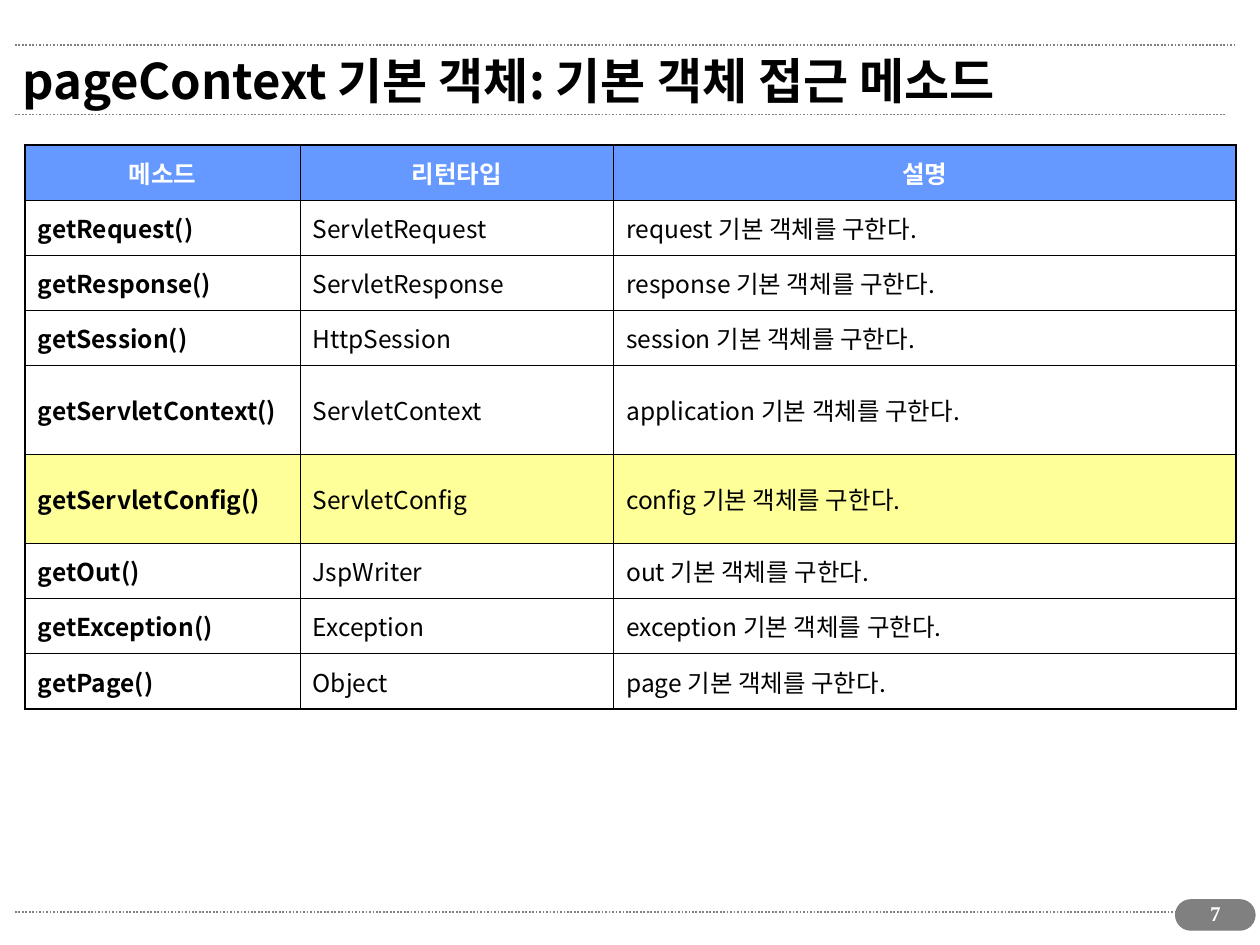
from lxml import etree
from pptx import Presentation
from pptx.dml.color import RGBColor
from pptx.enum.dml import MSO_LINE
from pptx.enum.shapes import MSO_CONNECTOR, MSO_SHAPE
from pptx.enum.text import MSO_ANCHOR, PP_ALIGN
from pptx.oxml.ns import qn
from pptx.util import Cm, Pt

LEFT, CENTER = PP_ALIGN.LEFT, PP_ALIGN.CENTER
TOP, MIDDLE = MSO_ANCHOR.TOP, MSO_ANCHOR.MIDDLE
STRAIGHT = MSO_CONNECTOR.STRAIGHT
ROUND = MSO_SHAPE.ROUNDED_RECTANGLE
DOT = MSO_LINE.ROUND_DOT

HEX = {"ink": "000000", "paper": "FFFFFF", "gray": "808080",
       "head": "6699FF", "mark": "FFFF99"}
SANS, SERIF = "Noto Sans CJK KR", "Times New Roman"
THIN, THICK = 0.45, 1.08

HEAD = ("메소드", "리턴타입", "설명")
CALLS = [
    ("getRequest()", "ServletRequest", "request"),
    ("getResponse()", "ServletResponse", "response"),
    ("getSession()", "HttpSession", "session"),
    ("getServletContext()", "ServletContext", "application"),
    ("getServletConfig()", "ServletConfig", "config"),
    ("getOut()", "JspWriter", "out"),
    ("getException()", "Exception", "exception"),
    ("getPage()", "Object", "page"),
]
ROWS = [HEAD] + [(call, kind, f"{name} 기본 객체를 구한다.")
                 for call, kind, name in CALLS]
WIDTHS = (5.54, 6.32, 12.55)
LOW, TALL = 1.11, 1.8
TALL_ROWS, MARK_ROW = (4, 5), 5


def rgb(name):
    return RGBColor.from_string(HEX[name])


class Painter:
    """Holds the current slide and draws in its style."""

    def __init__(self, slide):
        self.slide = slide
        self.shapes = slide.shapes

    def label(self, frame, text, tint, align=LEFT, **style):
        frame.word_wrap = True
        para = frame.paragraphs[0]
        para.alignment = align
        run = para.add_run()
        run.text = text
        for key, value in style.items():
            setattr(run.font, key, value)
        run.font.color.rgb = rgb(tint)
        east = etree.SubElement(run.font._element, qn("a:ea"))
        east.set("typeface", style["name"])

    def text(self, box, text, tint, anchor=TOP, **style):
        frame = self.shapes.add_textbox(*map(Cm, box)).text_frame
        self.label(frame, text, tint, **style)
        frame.vertical_anchor = anchor

    def rule(self, left, right, top):
        line = self.shapes.add_connector(
            STRAIGHT, Cm(left), Cm(top), Cm(right), Cm(top))
        line.line.color.rgb = rgb("gray")
        line.line.width = Pt(1)
        line.line.dash_style = DOT
        etree.SubElement(line._element.spPr, qn("a:effectLst"))

    def pill(self, box, tint):
        shape = self.shapes.add_shape(ROUND, *map(Cm, box))
        shape.adjustments[0] = 0.5
        shape.shadow.inherit = False
        shape.fill.solid()
        shape.fill.fore_color.rgb = rgb(tint)
        shape.line.color.rgb = rgb(tint)
        shape.line.width = Pt(0.75)

    def edges(self, cell, outer):
        """Draw cell borders; outer tells which sides lie on the table rim."""
        props = cell._tc.get_or_add_tcPr()
        for side, rim in outer.items():
            width = Pt(THICK if rim else THIN)
            line = etree.SubElement(props, qn(f"a:ln{side}"), w=str(width))
            fill = etree.SubElement(line, qn("a:solidFill"))
            etree.SubElement(fill, qn("a:srgbClr"), val=HEX["ink"])

    def table(self, left, top, rows, widths, heights):
        box = map(Cm, (left, top, sum(widths), sum(heights)))
        table = self.shapes.add_table(len(rows), len(widths), *box).table
        table.first_row = table.horz_banding = False
        for col, width in zip(table.columns, widths):
            col.width = Cm(width)
        for r, (texts, height) in enumerate(zip(rows, heights)):
            table.rows[r].height = Cm(height)
            for c, text in enumerate(texts):
                cell = table.cell(r, c)
                self.edges(cell, {"L": c == 0, "R": c == len(widths) - 1,
                                  "T": r == 0, "B": r == len(rows) - 1})
                self.fill(cell, {0: "head", MARK_ROW: "mark"}.get(r))
                cell.vertical_anchor = MIDDLE
                self.label(cell.text_frame, text,
                           "ink" if r else "paper", LEFT if r else CENTER,
                           name=SANS, size=Pt(14), bold=r == 0 or c == 0)

    def fill(self, cell, tint):
        if tint:
            cell.fill.solid()
            cell.fill.fore_color.rgb = rgb(tint)
        else:
            cell.fill.background()


def main():
    deck = Presentation()
    deck.slide_width, deck.slide_height = Cm(25.4), Cm(19.05)
    pen = Painter(deck.slides.add_slide(deck.slide_layouts[6]))

    for right, top in ((24.71, 18.39), (24.69, 2.31), (24.89, 0.91)):
        pen.rule(0.3, right, top)
    pen.pill((23.7, 18.14, 1.6, 0.61), "gray")
    pen.text((0.2, 0.71, 23.11, 1.8), "pageContext 기본 객체: 기본 객체 접근 메소드",
             "ink", MIDDLE, name=SANS, size=Pt(28), bold=True)
    heights = [TALL if r in TALL_ROWS else LOW for r in range(len(ROWS))]
    pen.table(0.51, 2.92, ROWS, WIDTHS, heights)
    pen.text((23.8, 18.03, 1.4, 0.86), "7", "paper", align=CENTER,
             name=SERIF, size=Pt(12), bold=True)
    deck.save("out.pptx")


if __name__ == "__main__":
    main()
